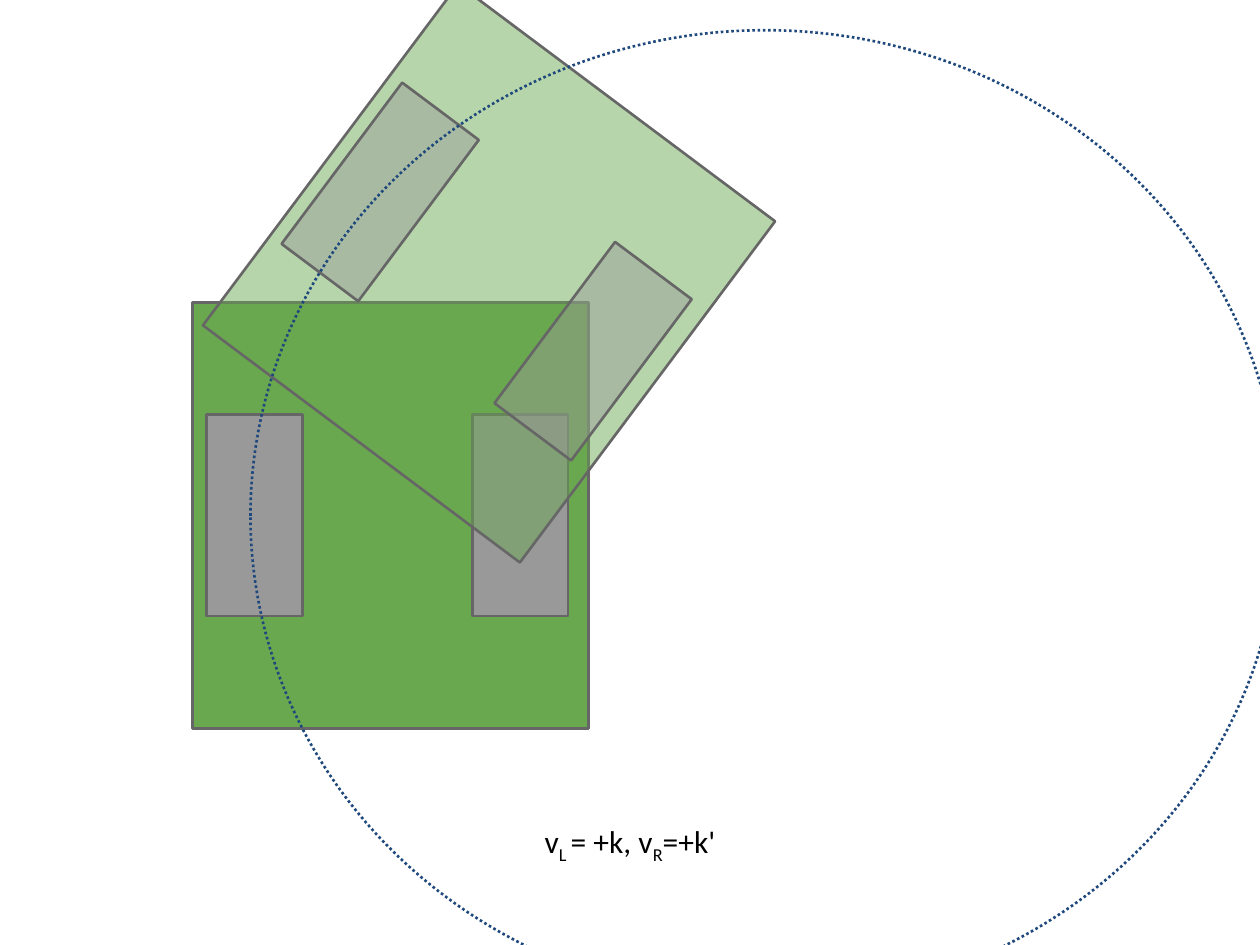
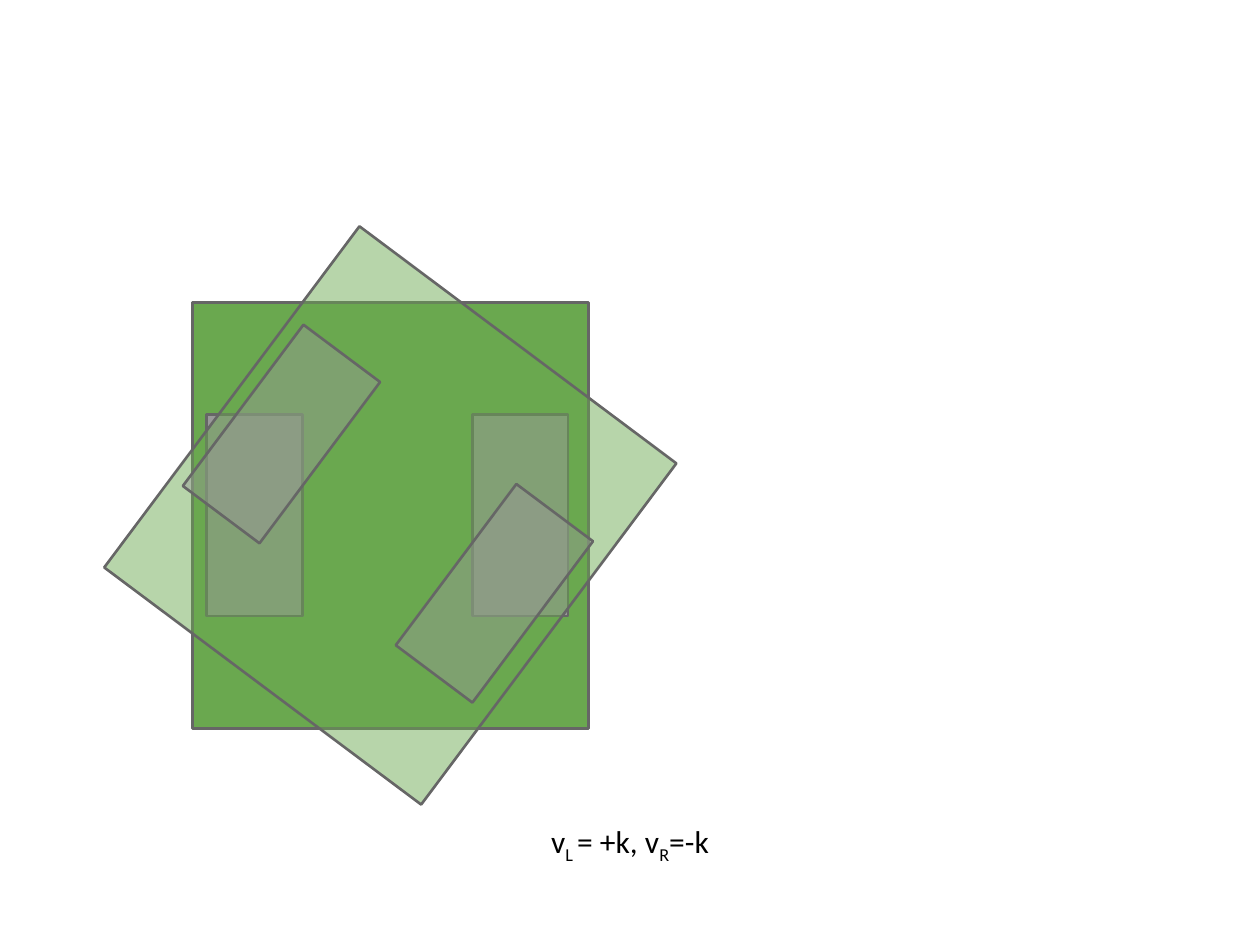
import math
from typing import NamedTuple, Optional

import lxml.etree
import pptx
import pptx.dml.color
import pptx.enum.dml
import pptx.enum.shapes
import pptx.enum.text
import pptx.oxml.ns
import pptx.util

Cm = pptx.util.Cm
Pt = pptx.util.Pt
Shapes = pptx.enum.shapes.MSO_SHAPE

BODY_COLOUR = "6AA84F"
WHEEL_COLOUR = "999999"
OUTLINE_COLOUR = "666666"
TRACK_COLOUR = "1F497D"
TEXT_COLOUR = "000000"

BODY_SIZE = (8.59, 7.98)
WHEEL_SIZE = (4.06, 1.93)
WHEEL_OFFSETS = (-2.74, 2.62)  # left and right of the robot's centre, in cm

CAPTION_BOX = {"left": Cm(1.27), "top": Cm(16.33), "width": Cm(22.86), "height": Cm(1.93)}
CAPTION_FRAME = {
    **{f"margin_{side}": Cm(0.25) for side in ("left", "top", "right", "bottom")},
    "word_wrap": True,
    "vertical_anchor": pptx.enum.text.MSO_ANCHOR.TOP,
    "auto_size": pptx.enum.text.MSO_AUTO_SIZE.NONE,
}
CAPTION_PARAGRAPH = {"alignment": pptx.enum.text.PP_ALIGN.CENTER, "space_before": Pt(0)}
CAPTION_FONT = {"name": "Calibri", "size": Pt(18)}


class Pose(NamedTuple):
    """Centre in cm, heading in degrees clockwise from up, opacities in percent."""
    x: float
    y: float
    heading: float = 0
    body_opacity: int = 100
    wheel_opacity: int = 100


class Ellipse(NamedTuple):
    left: float
    top: float
    width: float
    height: float


class Motion(NamedTuple):
    right_speed: str
    end: Pose
    track: Optional[Ellipse] = None


START = Pose(7.87, 10.39)
TURNED = Pose(7.87, 10.39, 36.8, 48, 44)
MOTIONS = [
    Motion("=+k'", TURNED._replace(x=9.86, y=5.51), Ellipse(5.05, 0.61, 20.75, 19.58)),
    Motion("=-k", TURNED),
]


def apply(target, values: dict) -> None:
    for attribute, value in values.items():
        setattr(target, attribute, value)


def set_colour(colour_format, colour: str) -> None:
    colour_format.rgb = pptx.dml.color.RGBColor.from_string(colour)


def set_line(shape, colour: str) -> None:
    set_colour(shape.line.color, colour)
    shape.line.width = Pt(1.5)
    shape.shadow.inherit = False


def add_part(group, x: float, y: float, size: tuple[float, float], heading: float,
             colour: str, opacity: int) -> None:
    """Draw a rectangle centred on x, y whose long side points along the heading."""
    width, height = size
    part = group.shapes.add_shape(Shapes.RECTANGLE, Cm(x - width / 2), Cm(y - height / 2),
                                  Cm(width), Cm(height))
    part.rotation = (heading + 270) % 360
    part.fill.solid()
    set_colour(part.fill.fore_color, colour)
    if opacity < 100:
        rgb = part.fill._xPr.find(".//" + pptx.oxml.ns.qn("a:srgbClr"))
        lxml.etree.SubElement(rgb, pptx.oxml.ns.qn("a:alpha"), val=str(opacity * 1000))
    set_line(part, OUTLINE_COLOUR)


def add_robot(slide, pose: Pose) -> None:
    robot = slide.shapes.add_group_shape()
    add_part(robot, pose.x, pose.y, BODY_SIZE, pose.heading, BODY_COLOUR, pose.body_opacity)
    angle = math.radians(pose.heading)
    for offset in WHEEL_OFFSETS:
        add_part(robot, pose.x + offset * math.cos(angle), pose.y + offset * math.sin(angle),
                 WHEEL_SIZE, pose.heading, WHEEL_COLOUR, pose.wheel_opacity)


def add_track(slide, track: Ellipse) -> None:
    circle = slide.shapes.add_shape(Shapes.OVAL, *(Cm(length) for length in track))
    circle.fill.background()
    set_line(circle, TRACK_COLOUR)
    circle.line.dash_style = pptx.enum.dml.MSO_LINE.ROUND_DOT


def write_caption(caption, right_speed: str) -> None:
    apply(caption, CAPTION_BOX)
    apply(caption.text_frame, CAPTION_FRAME)
    paragraph = caption.text_frame.paragraphs[0]
    apply(paragraph, CAPTION_PARAGRAPH)
    lxml.etree.SubElement(paragraph._p.get_or_add_pPr(), pptx.oxml.ns.qn("a:buNone"))
    pieces = [("v", False), ("L ", True), ("= +k, v", False), ("R", True), (right_speed, False)]
    for text, is_subscript in pieces:
        run = paragraph.add_run()
        run.text = text
        apply(run.font, CAPTION_FONT)
        set_colour(run.font.color, TEXT_COLOUR)
        if is_subscript:
            run._r.get_or_add_rPr().set("baseline", "-25000")


def add_motion_slide(presentation, motion: Motion) -> None:
    slide = presentation.slides.add_slide(presentation.slide_layouts.get_by_name("Title and Content"))
    title = slide.shapes.title
    title.element.getparent().remove(title.element)
    write_caption(slide.placeholders[1], motion.right_speed)
    add_robot(slide, START)
    add_robot(slide, motion.end)
    if motion.track:
        add_track(slide, motion.track)


def main() -> None:
    presentation = pptx.Presentation()
    apply(presentation, {"slide_width": Cm(25.4), "slide_height": Cm(19.05)})
    for motion in MOTIONS:
        add_motion_slide(presentation, motion)
    presentation.save("out.pptx")


if __name__ == "__main__":
    main()
